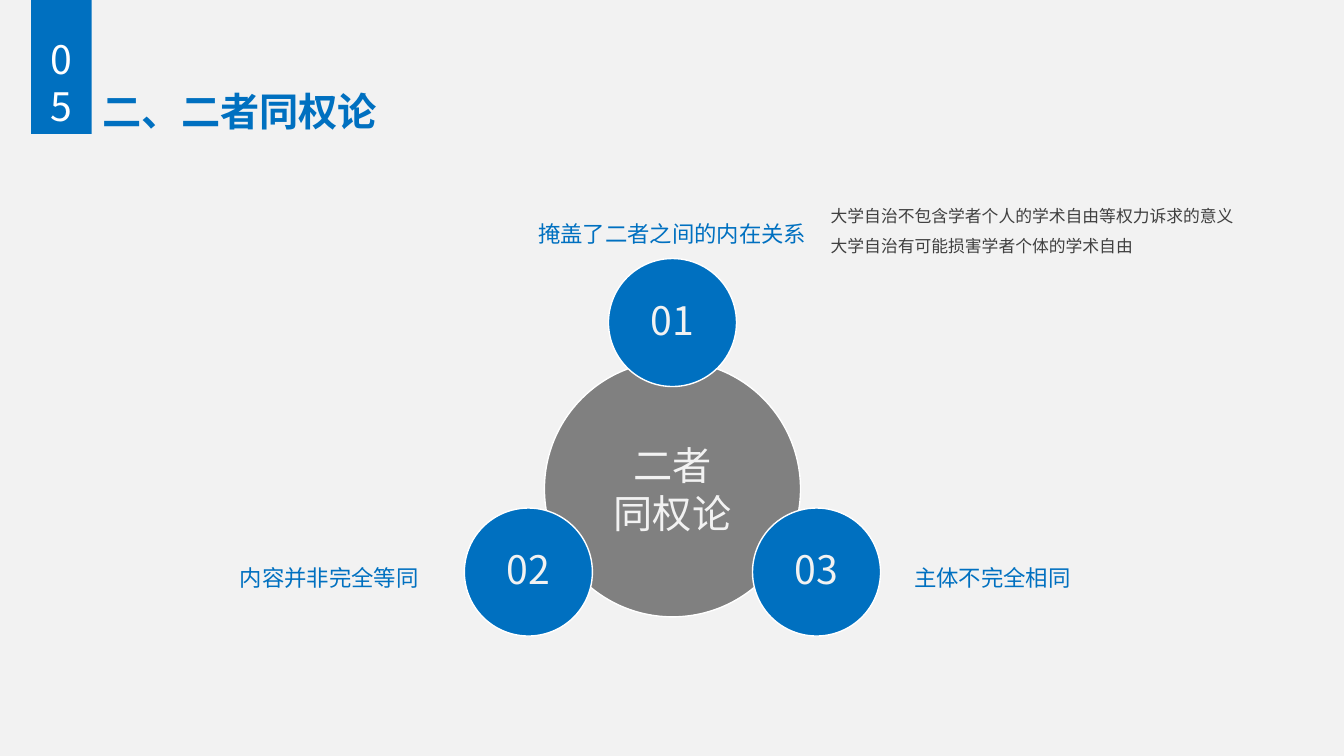
"""Build the slide on the theory of equal rights."""
from math import cos, radians, sin

from lxml.etree import SubElement
from pptx import Presentation
from pptx.dml.color import RGBColor
from pptx.enum.shapes import MSO_SHAPE as Shape
from pptx.enum.text import MSO_ANCHOR as Anchor, PP_ALIGN as Align
from pptx.oxml.ns import qn
from pptx.util import Inches, Pt

FONT = "Noto Sans CJK SC"
BLUE, GRAY, PALE, WHITE, DARK = "0070C0", "808080", "F2F2F2", "FFFFFF", "404040"
CENTER_X, CENTER_Y = 6.67, 4.85
HUB_DIAMETER, NODE_DIAMETER, RING_RADIUS = 2.54, 1.27, 1.65


def paint(color_format, color):
    """Set a colour from a hex string."""
    color_format.rgb = RGBColor.from_string(color)


def write(frame, text, size=28, color=BLUE, font=FONT, bold=False,
          align=Align.LEFT, anchor=Anchor.TOP, spacing=1.0, wrap=True, inset=None):
    """Put text in a frame, one paragraph per line, and format it."""
    frame.text = text
    frame.word_wrap = wrap
    frame.vertical_anchor = anchor
    if inset is not None:
        frame.margin_left = frame.margin_right = Inches(inset)
        frame.margin_top = frame.margin_bottom = Inches(inset)
    for paragraph in frame.paragraphs:
        paragraph.alignment = align
        paragraph.line_spacing = spacing
        for run in paragraph.runs:
            run.font.size = Pt(size)
            run.font.bold = bold
            run.font.name = font
            paint(run.font.color, color)
            east_asian = SubElement(run.font._element, qn("a:ea"))
            east_asian.set("typeface", FONT)


def add_title(slide, text):
    """Place and format the slide title."""
    title = slide.shapes.title
    title.left, title.top = Inches(0.92), Inches(0.4)
    title.width, title.height = Inches(11.5), Inches(1.45)
    write(title.text_frame, text, font="Calibri", bold=True,
          anchor=Anchor.MIDDLE, spacing=0.9)


def add_filled(slide, kind, left, top, width, height, fill, text, outline=None, **style):
    """Add a filled shape with centred text."""
    shape = slide.shapes.add_shape(
        kind, Inches(left), Inches(top), Inches(width), Inches(height))
    shape.shadow.inherit = False
    shape.fill.solid()
    paint(shape.fill.fore_color, fill)
    if outline:
        paint(shape.line.color, outline)
        shape.line.width = Pt(1)
    else:
        shape.line.fill.background()
    write(shape.text_frame, text, align=Align.CENTER, **style)


def add_circle(slide, center_x, center_y, diameter, fill, text, spacing=1.0):
    """Add a white-rimmed circle around a centre point."""
    add_filled(slide, Shape.OVAL, center_x - diameter / 2, center_y - diameter / 2,
               diameter, diameter, fill, text, outline=WHITE, color=PALE,
               anchor=Anchor.MIDDLE, spacing=spacing, inset=0.04)


def add_label(slide, left, top, width, height, text, **style):
    """Add a text box."""
    box = slide.shapes.add_textbox(
        Inches(left), Inches(top), Inches(width), Inches(height))
    write(box.text_frame, text, **style)


def main():
    """Build and save the presentation."""
    presentation = Presentation()
    presentation.slide_width, presentation.slide_height = Inches(13.33), Inches(7.5)
    slide = presentation.slides.add_slide(presentation.slide_layouts[5])
    slide.background.fill.solid()
    paint(slide.background.fill.fore_color, PALE)

    add_title(slide, "二、二者同权论")
    add_filled(slide, Shape.RECTANGLE, 0.31, 0, 0.6, 1.33, BLUE, "05",
               color=WHITE, anchor=Anchor.BOTTOM)

    add_circle(slide, CENTER_X, CENTER_Y, HUB_DIAMETER, GRAY, "二者\n同权论")
    for index in range(3):
        angle = radians(-90 - 120 * index)
        add_circle(slide, CENTER_X + RING_RADIUS * cos(angle),
                   CENTER_Y + RING_RADIUS * sin(angle),
                   NODE_DIAMETER, BLUE, f"{index + 1:02d}", spacing=0.9)

    add_label(slide, 8.14, 1.89, 5.19, 0.71,
              "大学自治不包含学者个人的学术自由等权力诉求的意义\n"
              "大学自治有可能损害学者个体的学术自由",
              size=12, color=DARK, spacing=1.5)
    labels = [
        (5.24, 2, 2.89, 0.5, "掩盖了二者之间的内在关系", 1.5),
        (2.28, 5.55, 2, 0.37, "内容并非完全等同", 1.0),
        (8.97, 5.55, 1.77, 0.37, "主体不完全相同", 1.0),
    ]
    for left, top, width, height, text, spacing in labels:
        add_label(slide, left, top, width, height, text,
                  size=16, spacing=spacing, wrap=False)

    presentation.save("out.pptx")


if __name__ == "__main__":
    main()
